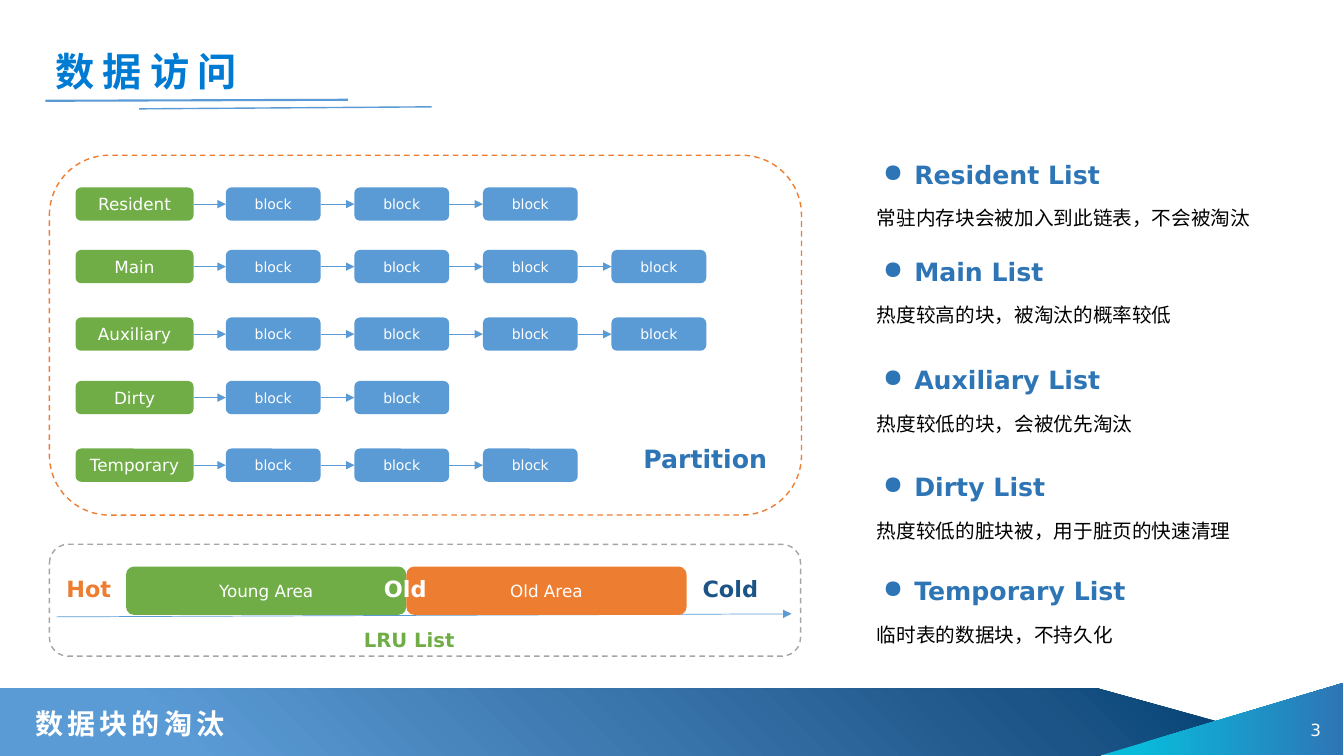
from lxml.etree import SubElement
from pptx import Presentation
from pptx.dml.color import RGBColor
from pptx.enum.dml import MSO_LINE
from pptx.enum.shapes import MSO_CONNECTOR, MSO_SHAPE
from pptx.enum.text import MSO_ANCHOR, MSO_AUTO_SIZE, PP_ALIGN
from pptx.oxml import parse_xml
from pptx.oxml.ns import nsdecls, qn
from pptx.util import Inches, Pt

FONT = "DejaVu Sans"
WHITE = RGBColor(0xFF, 0xFF, 0xFF)
BLACK = RGBColor(0, 0, 0)
BLUE = RGBColor(0x5B, 0x9B, 0xD5)
TITLE_BLUE = RGBColor(0x00, 0x7B, 0xD3)
HEADING_BLUE = RGBColor(0x2E, 0x75, 0xB6)
NAVY = RGBColor(0x1D, 0x54, 0x87)
DEEP_NAVY = RGBColor(0x03, 0x43, 0x73)
CYAN = RGBColor(0x09, 0xBB, 0xDB)
GREEN = RGBColor(0x70, 0xAD, 0x47)
ORANGE = RGBColor(0xED, 0x7D, 0x31)
GRAY = RGBColor(0xA5, 0xA5, 0xA5)

# List name, top of its row, number of blocks
CHAINS = [("Resident", 1.86, 3), ("Main", 2.48, 4), ("Auxiliary", 3.15, 4),
          ("Dirty", 3.78, 2), ("Temporary", 4.45, 3)]
# Heading, top of its entry, explanation
ENTRIES = [("Resident List", 1.38, "常驻内存块会被加入到此链表，不会被淘汰"),
           ("Main List", 2.34, "热度较高的块，被淘汰的概率较低"),
           ("Auxiliary List", 3.42, "热度较低的块，会被优先淘汰"),
           ("Dirty List", 4.48, "热度较低的脏块被，用于脏页的快速清理"),
           ("Temporary List", 5.51, "临时表的数据块，不持久化")]


def write(paragraph, text, size, color, bold=False, spacing=0):
    run = paragraph.add_run()
    run.text = text
    for name, value in {"name": FONT, "size": Pt(size), "bold": bold}.items():
        setattr(run.font, name, value)
    run.font.color.rgb = color
    if spacing:
        run.font._element.set("spc", str(spacing * 100))


def add_text(shapes, box, text, size, color, bold=False, spacing=0, bullet=None,
             paragraph_format=None, **frame_format):
    frame = shapes.add_textbox(*map(Inches, box)).text_frame
    for name, value in {"word_wrap": True, **frame_format}.items():
        setattr(frame, name, value)
    paragraph = frame.paragraphs[0]
    if bullet:
        properties = paragraph._p.get_or_add_pPr()
        properties.set("marL", str(Inches(0.31)))
        properties.set("indent", str(-Inches(0.31)))
        SubElement(properties, qn("a:buChar")).set("char", bullet)
    for name, value in (paragraph_format or {}).items():
        setattr(paragraph, name, value)
    write(paragraph, text, size, color, bold, spacing)


def add_box(slide, box, fill, text="", size=12, kind=MSO_SHAPE.ROUNDED_RECTANGLE):
    shape = slide.shapes.add_shape(kind, *map(Inches, box))
    shape.shadow.inherit = False
    shape.fill.solid()
    shape.fill.fore_color.rgb = fill
    shape.line.fill.background()
    if text:
        shape.text_frame.vertical_anchor = MSO_ANCHOR.MIDDLE
        paragraph = shape.text_frame.paragraphs[0]
        paragraph.alignment = PP_ALIGN.CENTER
        write(paragraph, text, size, WHITE)
    return shape


def add_frame(slide, box, color):
    frame = add_box(slide, box, WHITE)
    frame.line.color.rgb = color
    frame.line.width = Pt(1)
    frame.line.dash_style = MSO_LINE.DASH


def add_line(slide, start, end, width, arrow=False):
    line = slide.shapes.add_connector(MSO_CONNECTOR.STRAIGHT, *map(Inches, start + end))
    line.line.color.rgb = BLUE
    line.line.width = Pt(width)
    if arrow:
        SubElement(line.line._get_or_add_ln(), qn("a:tailEnd")).set("type", "triangle")
    SubElement(line._element.spPr, qn("a:effectLst"))
    return line


def set_gradient(shape, stops, direction):
    shape.fill.gradient()
    stop_list = "".join(f'<a:gs pos="{position * 1000}"><a:srgbClr val="{color}"/></a:gs>'
                        for position, color in stops)
    gradient = parse_xml(f'<a:gradFill {nsdecls("a")} rotWithShape="1">'
                         f"<a:gsLst>{stop_list}</a:gsLst>{direction}</a:gradFill>")
    properties = shape._element.spPr
    properties.replace(properties.find(qn("a:gradFill")), gradient)


def add_footer(slide, left, top, width, height):
    # Blue band, lit from its bottom left corner
    band = add_box(slide, (left, top, 12.1, height), BLUE, kind=MSO_SHAPE.PENTAGON)
    band.adjustments[0] = 1.81
    set_gradient(band, [(15, BLUE), (84, NAVY), (100, DEEP_NAVY)],
                 '<a:path path="circle"><a:fillToRect t="100000" r="100000"/></a:path>')
    # Corner wedge, turned a quarter to the left
    wedge = add_box(slide, (left + 11.76, top - 0.9, 0.72, 2.41), CYAN,
                    kind=MSO_SHAPE.RIGHT_TRIANGLE)
    wedge.rotation = 270
    set_gradient(wedge, [(15, CYAN), (100, HEADING_BLUE)], '<a:lin ang="5400000" scaled="0"/>')
    # Section name and page number
    add_text(slide.shapes, (left + 0.25, top + 0.13, 2.13, 0.44), "数据块的淘汰", 20, WHITE,
             bold=True, spacing=3, word_wrap=False, vertical_anchor=MSO_ANCHOR.MIDDLE)
    add_text(slide.shapes, (left + width - 0.8, top + 0.21, 0.67, 0.4), "3", 12, WHITE,
             paragraph_format={"alignment": PP_ALIGN.RIGHT},
             vertical_anchor=MSO_ANCHOR.MIDDLE)


def add_title(slide, left, top):
    add_text(slide.shapes, (left, top, 2.11, 0.58), "数据访问", 28, TITLE_BLUE, bold=True,
             spacing=6, word_wrap=False, vertical_anchor=MSO_ANCHOR.MIDDLE)
    add_line(slide, (left, top + 0.59), (left + 3, top + 0.58), 1.5)
    add_line(slide, (left + 0.93, top + 0.67), (left + 3.83, top + 0.65), 1)


def add_lru_list(slide, left, top, width, height):
    add_frame(slide, (left, top, width, height), GRAY)
    area_width, area_top = 2.78, top + 0.22
    add_box(slide, (left + 0.76, area_top, area_width, 0.48), GREEN, "Young Area")
    add_line(slide, (left + 0.07, top + 0.72), (left + width - 0.09, top + 0.69), 0.5, arrow=True)
    add_box(slide, (left + 0.76 + area_width, area_top, area_width, 0.48), ORANGE, "Old Area")
    # Temperature labels and caption
    for text, x, y, size, color in [("Hot", 0.07, 0.29, 16, ORANGE),
                                    ("Old", 3.22, 0.29, 16, WHITE),
                                    ("Cold", 6.38, 0.29, 16, NAVY),
                                    ("LRU List", 3.02, 0.81, 14, GREEN)]:
        add_text(slide.shapes, (left + x, top + y, 1.21, 0.35), text, size, color, bold=True,
                 paragraph_format={"line_spacing": 0.9})


def add_partition(slide, left, top, width, height):
    add_frame(slide, (left, top, width, height), ORANGE)
    # Each list name heads a chain of blocks
    for name, row_top, count in CHAINS:
        previous = add_box(slide, (left + 0.26, row_top, 1.17, 0.33), GREEN, name)
        for index in range(count):
            block_left = left + 1.75 + index * 1.275
            block = add_box(slide, (block_left, row_top, 0.94, 0.33), BLUE, "block", 10)
            middle = row_top + 0.165
            arrow = add_line(slide, (block_left - 0.33, middle), (block_left, middle), 0.5,
                             arrow=True)
            arrow.begin_connect(previous, 3)
            arrow.end_connect(block, 1)
            previous = block
    add_text(slide.shapes, (left + 5.79, top + 2.66, 1.43, 0.5), "Partition", 18, HEADING_BLUE,
             bold=True, paragraph_format={"alignment": PP_ALIGN.CENTER, "line_spacing": 1.5},
             auto_size=MSO_AUTO_SIZE.SHAPE_TO_FIT_TEXT)


def add_explanations(slide, left):
    layout = {"paragraph_format": {"line_spacing": 1.5},
              "auto_size": MSO_AUTO_SIZE.SHAPE_TO_FIT_TEXT}
    for heading, top, explanation in ENTRIES:
        shapes = slide.shapes.add_group_shape().shapes
        add_text(shapes, (left, top + 0.5, 4.43, 0.41), explanation, 14, BLACK, **layout)
        add_text(shapes, (left + 0.06, top, 3.1, 0.5), heading, 18, HEADING_BLUE,
                 bold=True, bullet="●", **layout)


def main():
    presentation = Presentation()
    presentation.slide_width = Inches(13.33)
    presentation.slide_height = Inches(7.5)
    slide = presentation.slides.add_slide(presentation.slide_layouts[6])
    add_footer(slide, 0, 6.83, 13.33, 0.67)
    add_title(slide, 0.45, 0.41)
    add_lru_list(slide, 0.49, 5.4, 7.45, 1.11)
    add_partition(slide, 0.49, 1.54, 7.46, 3.57)
    add_explanations(slide, 8.6)
    presentation.save("out.pptx")


if __name__ == "__main__":
    main()
